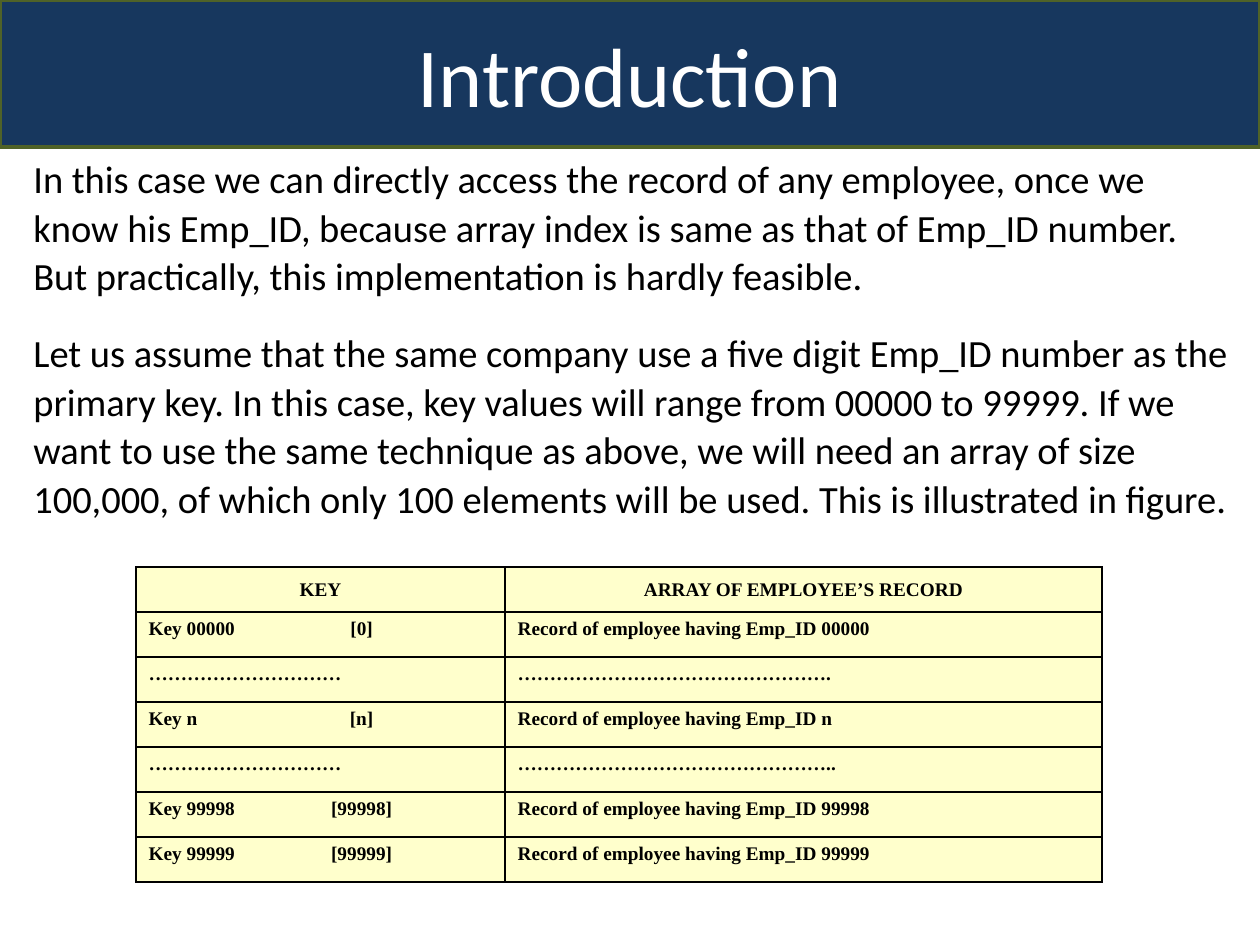
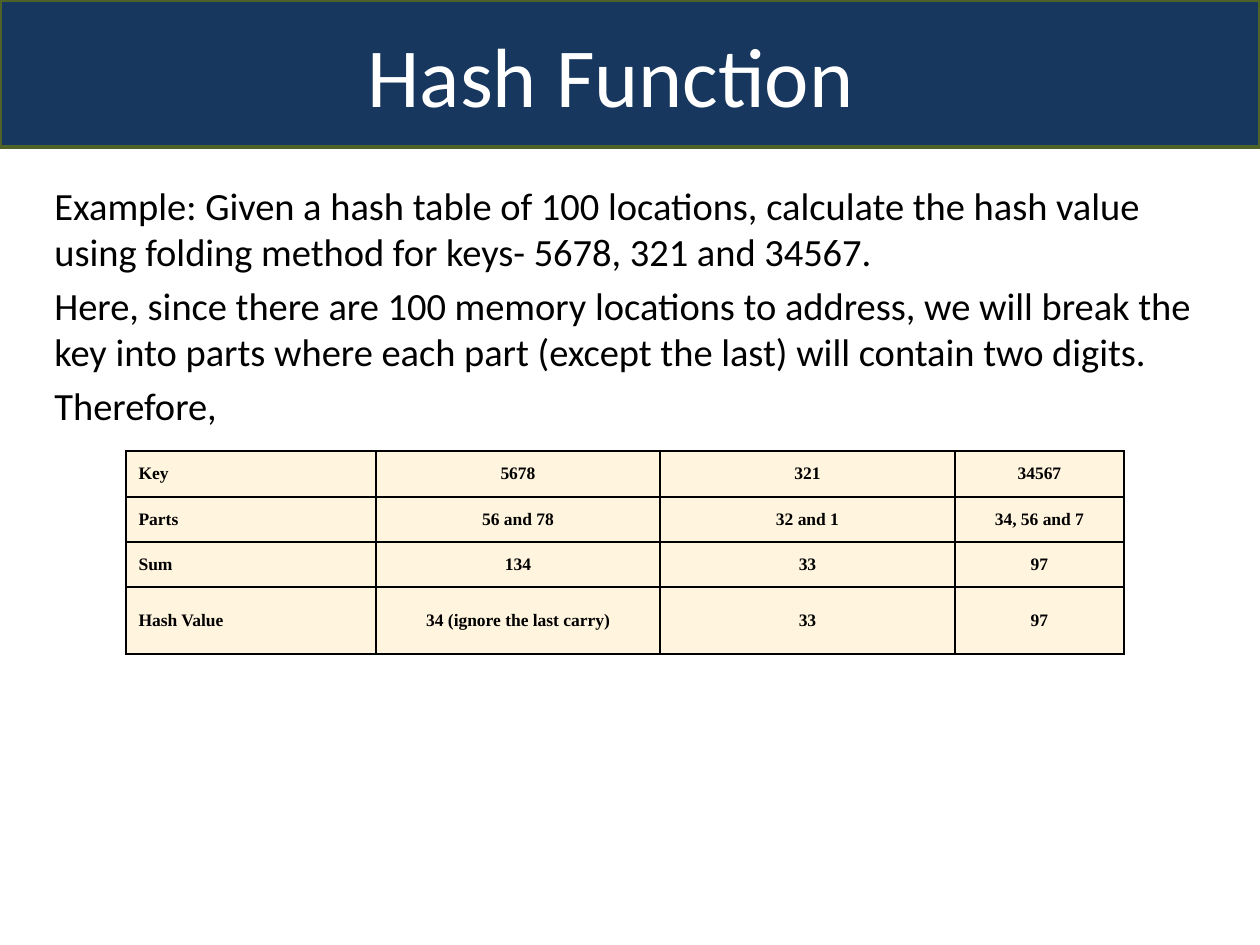
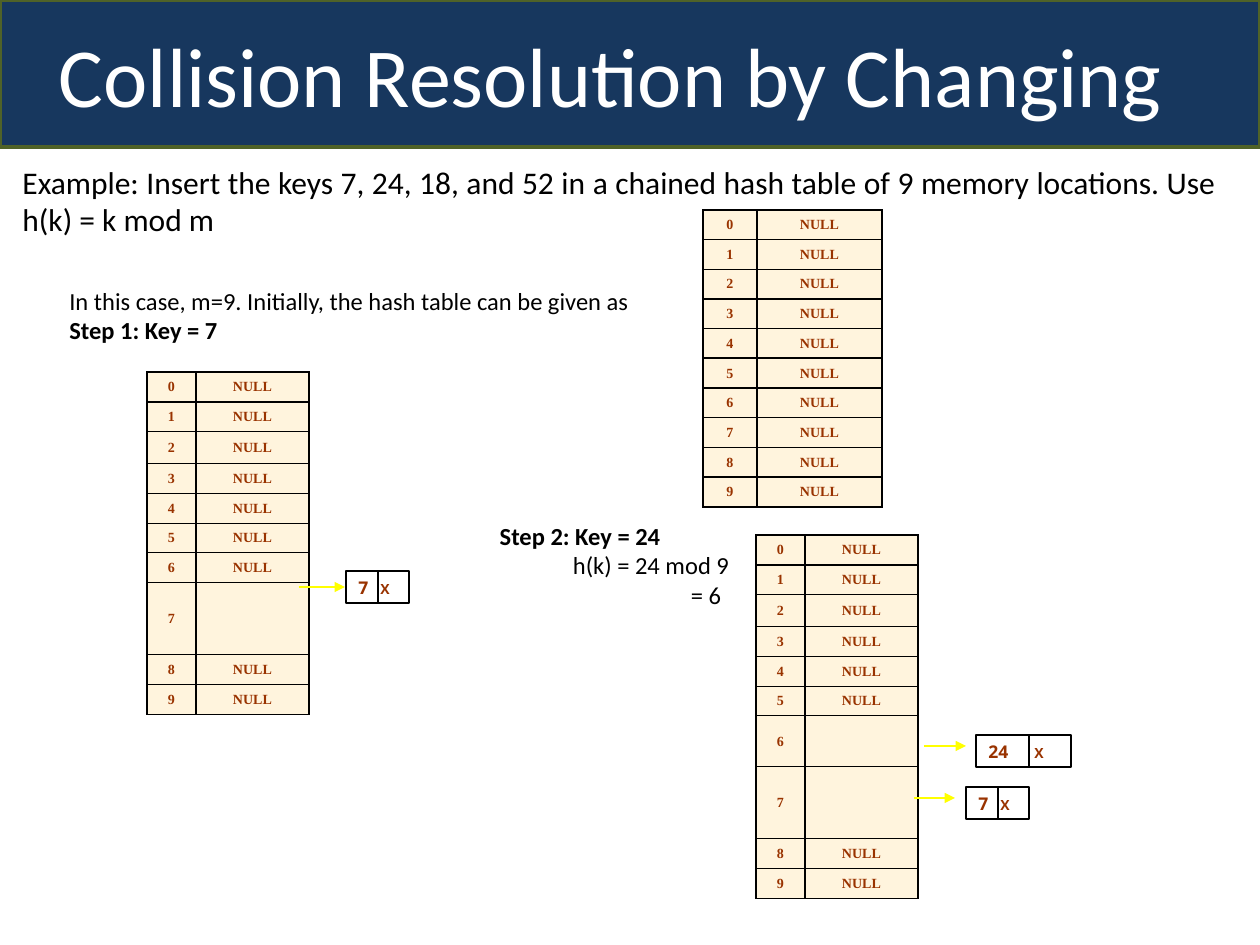
import pptx
import pptx.util
import pptx.dml.color
import pptx.enum.shapes
import pptx.enum.text
import pptx.oxml
import pptx.oxml.ns
from dataclasses import dataclass

SHAPE = pptx.enum.shapes.MSO_SHAPE
ALIGN = pptx.enum.text.PP_ALIGN
ANCHOR = pptx.enum.text.MSO_ANCHOR
Pt = pptx.util.Pt
LEFT, CENTER, JUSTIFY = ALIGN.LEFT, ALIGN.CENTER, ALIGN.JUSTIFY
TOP, MIDDLE = ANCHOR.TOP, ANCHOR.MIDDLE


@dataclass(frozen=True)
class Theme:
    """Colours, fonts and type sizes of the deck."""
    band: str = "17375E"
    band_line: str = "4F6228"
    white: str = "FFFFFF"
    ink: str = "000000"
    rust: str = "993300"
    arrow: str = "FFFF00"
    yellow: str = "FFFFCC"
    cream: str = "FFF4DD"
    sans: str = "Calibri"
    serif: str = "Times New Roman"
    node: str = "Noto Sans"
    title: int = 48
    body: int = 22
    example: int = 18
    step: int = 14
    record: int = 11
    small: int = 10
    slot: int = 8


T = Theme()


def px(n):
    """Turn pixels (126 to the inch) into EMU."""
    return round(n * 914400 / 126)


def rgb(code):
    """Turn a hex code into a colour."""
    return pptx.dml.color.RGBColor.from_string(code)


def assign(obj, values):
    """Set attributes of an object from a dict."""
    for name, value in values.items():
        setattr(obj, name, value)


def font(size, name=T.sans, color=T.ink, bold=False):
    """Describe a run format."""
    return {"size": Pt(size), "name": name, "bold": bold, "color": color}


def add_run(p, text, fmt):
    """Add one formatted run."""
    r = p.add_run()
    r.text = text
    assign(r.font, {k: v for k, v in fmt.items() if k != "color"})
    r.font.color.rgb = rgb(fmt["color"])


def write(tf, paras):
    """Fill a frame with (text, run format, paragraph format, left margin)."""
    for i, (text, fmt, para, margin) in enumerate(paras):
        p = tf.paragraphs[0] if i == 0 else tf.add_paragraph()
        assign(p, para)
        if margin:
            p._p.get_or_add_pPr().set("marL", str(px(margin)))
        add_run(p, text, fmt)


def add_tab(p, pos, kind):
    """Put one tab stop on a paragraph."""
    p._p.get_or_add_pPr().append(pptx.oxml.parse_xml(
        f'<a:tabLst {pptx.oxml.ns.nsdecls("a")}>'
        f'<a:tab pos="{px(pos)}" algn="{kind}"/></a:tabLst>'))


def add_box(s, kind, box, fill, line, width):
    """Add a filled and outlined preset shape."""
    sp = s.shapes.add_shape(kind, *map(px, box))
    sp.shadow.inherit = False
    sp.fill.solid()
    sp.fill.fore_color.rgb = rgb(fill)
    sp.line.color.rgb = rgb(line)
    sp.line.width = Pt(width)
    return sp


def add_slide(prs, title, shift=0):
    """Add a blank slide with the title band; shift widens the right inset."""
    s = prs.slides.add_slide(prs.slide_layouts[6])
    sp = add_box(s, SHAPE.ROUNDED_RECTANGLE, (0, 0, 1260, 147),
                 T.band, T.band_line, 2)
    sp.adjustments[0] = 0
    assign(sp.text_frame, {"vertical_anchor": MIDDLE, "word_wrap": True,
                           "margin_right": px(13 + shift)})
    write(sp.text_frame, [(title, font(T.title, color=T.white),
                           {"alignment": CENTER}, 0)])
    return s


def add_text(s, box, paras, anchor=TOP):
    """Add a wrapping text box."""
    tf = s.shapes.add_textbox(*map(px, box)).text_frame
    assign(tf, {"word_wrap": True, "vertical_anchor": anchor})
    write(tf, paras)


def add_borders(cell):
    """Draw thin black lines on all sides of a cell."""
    tcPr = cell._tc.get_or_add_tcPr()
    for side in "LRTB":
        tcPr.append(pptx.oxml.parse_xml(
            f'<a:ln{side} {pptx.oxml.ns.nsdecls("a")} w="12700"><a:solidFill>'
            f'<a:srgbClr val="{T.ink}"/></a:solidFill></a:ln{side}>'))


def add_grid(s, at, cols, heights, rows, fill, fmt, layout):
    """Add a table; layout(row, col) gives alignment and anchor."""
    box = (*at, sum(cols), sum(heights))
    tb = s.shapes.add_table(len(rows), len(cols), *map(px, box)).table
    assign(tb, {"first_row": False, "horz_banding": False})
    for col, w in zip(tb.columns, cols):
        col.width = px(w)
    for row, h in zip(tb.rows, heights):
        row.height = px(h)
    for i, texts in enumerate(rows):
        for j, text in enumerate(texts):
            cell = tb.cell(i, j)
            add_borders(cell)
            cell.fill.solid()
            cell.fill.fore_color.rgb = rgb(fill)
            align, cell.vertical_anchor = layout(i, j)
            if text:
                write(cell.text_frame, [(text, fmt, {"alignment": align}, 0)])
    return tb


def add_line(s, start, end, color, arrow=False):
    """Add a thin line, with an arrowhead at its end if asked."""
    cn = s.shapes.add_connector(pptx.enum.shapes.MSO_CONNECTOR.STRAIGHT,
                                *map(px, (*start, *end)))
    cn.line.color.rgb = rgb(color)
    cn.line.width = Pt(0.75)
    ns = pptx.oxml.ns.nsdecls("a")
    if arrow:
        cn.line._get_or_add_ln().append(
            pptx.oxml.parse_xml(f'<a:tailEnd {ns} type="triangle"/>'))
    cn._element.spPr.append(pptx.oxml.parse_xml(f"<a:effectLst {ns}/>"))


def add_node(s, x, y, w, split, key, tab):
    """Add a list node: key, divider and end mark."""
    h = 32
    sp = add_box(s, SHAPE.RECTANGLE, (x, y, w, h), T.white, T.ink, 0.75)
    sp.text_frame.vertical_anchor = TOP
    p = sp.text_frame.paragraphs[0]
    p.alignment = LEFT
    add_run(p, key + "\t", font(T.small, T.node, T.rust, True))
    add_run(p, "X", font(T.slot, T.node, T.rust, True))
    add_tab(p, tab, "l")
    add_line(s, (x + split, y), (x + split, y + h), T.ink)


def add_hash_table(s, at, cols, heights, used=()):
    """Add a ten-slot hash table; used slots hold no NULL."""
    rows = [(str(i), "" if i in used else "NULL") for i in range(10)]
    add_grid(s, at, cols, heights, rows, T.cream,
             font(T.slot, T.serif, T.rust, True), lambda i, j: (CENTER, MIDDLE))


def introduction(prs):
    """Build the slide on direct access by key."""
    s = add_slide(prs, "Introduction")
    body = font(T.body)
    add_text(s, (21, 147, 1229, 273), [
        ("In this case we can directly access the record of any employee, once "
         "we know his Emp_ID, because array index is same as that of Emp_ID "
         "number. But practically, this implementation is hardly feasible.",
         body, {"line_spacing": 1.05, "space_before": Pt(4.4)}, 0),
        ("Let us assume that the same company use a five digit Emp_ID number "
         "as the primary key. In this case, key values will range from 00000 "
         "to 99999. If we want to use the same technique as above, we will "
         "need an array of size 100,000, of which only 100 elements will be "
         "used. This is illustrated in figure.",
         body, {"line_spacing": 1.05, "space_before": Pt(16.3)}, 0)])

    def record(key, index):
        return f"Key {key}\t[{index}]", f"Record of employee having Emp_ID {key}"

    def dots(end):
        return "…" * 10, "…" * 16 + end

    rows = [("KEY", "ARRAY OF EMPLOYEE’S RECORD"), record("00000", "0"),
            dots("."), record("n", "n"), dots(".."),
            record("99998", "99998"), record("99999", "99999")]
    tb = add_grid(s, (136, 567), (369, 597), [45] * len(rows), rows, T.yellow,
                  font(T.record, T.serif, bold=True),
                  lambda i, j: (JUSTIFY, TOP) if i else (CENTER, MIDDLE))
    for i, (key, _) in enumerate(rows):
        if "\t" in key:
            add_tab(tb.cell(i, 0).text_frame.paragraphs[0], 213, "ctr")


def hash_function(prs):
    """Build the slide on the folding method."""
    s = add_slide(prs, "Hash Function", 38)
    rows = [("Key", "5678", "321", "34567"),
            ("Parts", "56 and 78", "32 and 1", "34, 56 and 7"),
            ("Sum", "134", "33", "97"),
            ("Hash Value", "34 (ignore the last carry)", "33", "97")]
    add_grid(s, (126, 451), (250, 284, 295, 169), (46, 45, 45, 67), rows,
             T.cream, font(T.small, T.serif, bold=True),
             lambda i, j: (CENTER if j else LEFT, MIDDLE))
    texts = [
        "Example: Given a hash table of 100 locations, calculate the hash "
        "value using folding method for keys- 5678, 321 and 34567.",
        "Here, since there are 100 memory locations to address, we will break "
        "the key into parts where each part (except the last) will contain "
        "two digits.",
        "Therefore,"]
    add_text(s, (42, 176, 1176, 265),
             [(t, font(T.body), {"space_before": Pt(4.4)}, 0) for t in texts])


def chaining(prs):
    """Build the slide on inserting keys into a chained table."""
    s = add_slide(prs, "Collision Resolution by Changing", 38)
    step, bold = font(T.step), font(T.step, bold=True)
    just, mid = {"alignment": JUSTIFY}, {"alignment": CENTER}
    add_text(s, (10, 156, 1219, 89), [
        ("Example: Insert the keys 7, 24, 18, and 52 in a chained hash table "
         "of 9 memory locations. Use h(k) = k mod m",
         font(T.example), just, 0)], MIDDLE)
    add_text(s, (-6, 279, 654, 72), [
        ("In this case, m=9. Initially, the hash table can be given as",
         step, just, 63),
        ("Step 1: Key = 7", bold, just, 63)], MIDDLE)
    add_text(s, (388, 514, 384, 102), [
        ("Step 2: Key = 24", bold, mid, 0),
        ("h(k) = 24 mod 9", step, mid, 142),
        ("= 6", step, mid, 252)], MIDDLE)

    one_key = [30, 29, 32, 30, 30, 29, 30, 72, 30, 30]
    two_keys = one_key[:6] + [51] + one_key[7:]
    add_hash_table(s, (703, 210), (54, 125), [29, 30] * 5)
    add_hash_table(s, (147, 372), (49, 113), one_key, {7})
    add_hash_table(s, (756, 535), (49, 113), two_keys, {6, 7})

    for x, y, w, split, key, tab in [(346, 571, 63, 32, "7", 22),
                                     (966, 787, 63, 32, "7", 22),
                                     (976, 735, 95, 53, "24", 46)]:
        add_node(s, x, y, w, split, key, tab)
    for x1, x2, y in [(299, 345, 587), (914, 955, 798), (924, 966, 746)]:
        add_line(s, (x1, y), (x2, y), T.arrow, arrow=True)


def main():
    """Build the deck and save it."""
    prs = pptx.Presentation()
    assign(prs, {"slide_width": px(1260), "slide_height": px(945)})
    for build in (introduction, hash_function, chaining):
        build(prs)
    prs.save("out.pptx")


main()
